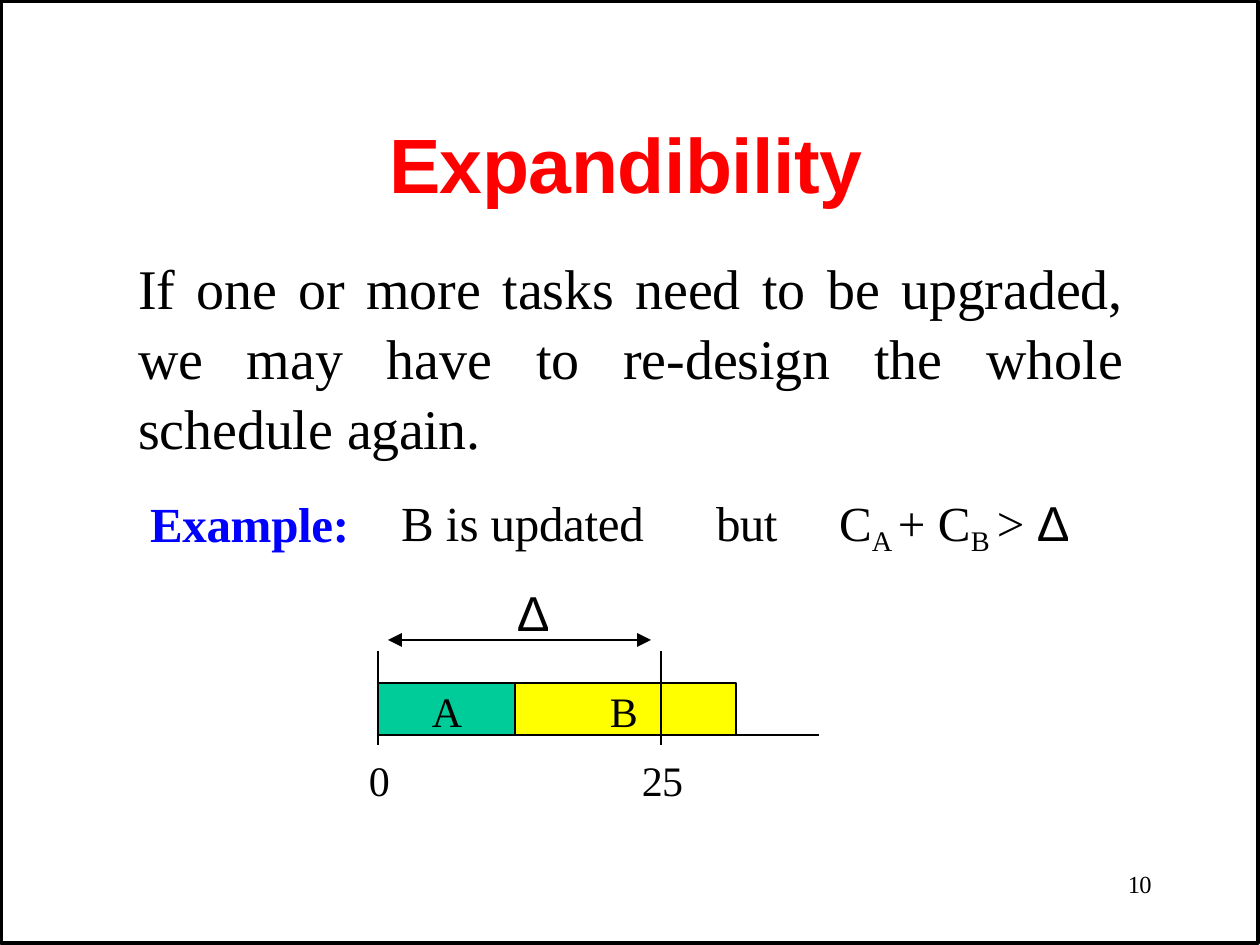
from dataclasses import dataclass

from pptx import Presentation, util as u
from pptx.dml.color import RGBColor
from pptx.enum import shapes, text
from pptx.oxml.ns import qn
from lxml import etree

SCALE = 914400 / 252


@dataclass(frozen=True)
class Theme:
    black: str = "000000"
    heading: str = "FF0000"
    label: str = "0000FF"
    task_a: str = "00CC99"
    task_b: str = "FFFF00"
    sans: str = "Arial"
    serif: str = "Times New Roman"
    title: float = 22
    body: float = 16
    formula: float = 14
    axis: float = 12
    number: float = 7
    thin: float = 0.48
    frame: float = 0.96


T = Theme()


def px(n):
    return u.Emu(round(n * SCALE))


def add_run(p, words, size, font=T.serif, color=T.black, bold=False,
            spacing=0.0, sub=False):
    r = p.add_run()
    r.text = words
    r.font.size = u.Pt(size)
    r.font.name = font
    r.font.bold = bold
    r.font.color.rgb = RGBColor.from_string(color)
    props = r.font._element
    if spacing:
        props.set("spc", str(round(spacing * 100)))
    if sub:
        props.set("baseline", "-20000")


def prepare(sp, wrap=False, left=0, top=0):
    """Set insets, anchor and wrapping; return the first paragraph."""
    tf = sp.text_frame
    tf.margin_left, tf.margin_top = px(left), px(top)
    tf.margin_right = tf.margin_bottom = 0
    tf.vertical_anchor = text.MSO_ANCHOR.TOP
    tf.auto_size = text.MSO_AUTO_SIZE.NONE
    tf.word_wrap = wrap
    p = tf.paragraphs[0]
    p.alignment = text.PP_ALIGN.LEFT
    return p


def place(sp, x, y, w, h):
    sp.left, sp.top, sp.width, sp.height = map(px, (x, y, w, h))


def add_label(s, words, x, y, w, h, size, **style):
    sp = s.shapes.add_textbox(*map(px, (x, y, w, h)))
    add_run(prepare(sp), words, size, **style)


def add_line(s, x1, y1, x2, y2, arrows=False):
    ln = s.shapes.add_connector(shapes.MSO_CONNECTOR.STRAIGHT,
                                *map(px, (x1, y1, x2, y2)))
    ln.line.width = u.Pt(T.thin)
    ln.line.color.rgb = RGBColor.from_string(T.black)
    if arrows:
        for end in ("a:headEnd", "a:tailEnd"):
            etree.SubElement(ln.line._get_or_add_ln(), qn(end),
                             type="triangle", w="sm", len="sm")
    etree.SubElement(ln._element.spPr, qn("a:effectLst"))


def add_rect(s, x, y, w, h, fill=None, width=T.thin):
    sp = s.shapes.add_shape(shapes.MSO_SHAPE.RECTANGLE,
                            *map(px, (x, y, w, h)))
    sp.shadow.inherit = False
    if fill:
        sp.fill.solid()
        sp.fill.fore_color.rgb = RGBColor.from_string(fill)
    else:
        sp.fill.background()
    sp.line.width = u.Pt(width)
    sp.line.color.rgb = RGBColor.from_string(T.black)
    return sp


def add_task(s, name, x, w, fill, text_left):
    sp = add_rect(s, x, 683, w, 52, fill)
    add_run(prepare(sp, left=text_left, top=3), name, T.axis)


def fill_placeholders(s):
    title, body = s.placeholders
    place(title, 389, 117, 486, 100)
    add_run(prepare(title), "Expandibility", T.title, T.sans, T.heading,
            bold=True, spacing=-0.1)

    place(body, 138, 251, 986, 209)
    p = prepare(body, wrap=True)
    props = p._p.get_or_add_pPr()
    props.set("marL", "0")
    props.set("indent", "0")
    etree.SubElement(props, qn("a:buNone"))
    p.alignment = text.PP_ALIGN.JUSTIFY
    p.line_spacing = 1.04
    p.space_before = u.Pt(0)
    add_run(p, "If one or more tasks need to be upgraded, we may have to "
               "re-design the whole schedule ", T.body)
    add_run(p, "again.", T.body, spacing=-0.1)


def add_formula(s):
    """Condition on the first line, the interval symbol below it."""
    sp = s.shapes.add_textbox(*map(px, (391, 493, 718, 150)))
    p = prepare(sp, wrap=True)
    props = p._p.get_or_add_pPr()
    props.set("marL", str(px(10)))
    tabs = etree.SubElement(props, qn("a:tabLst"))
    for stop in (315, 438):
        etree.SubElement(tabs, qn("a:tab"), pos=str(px(stop)), algn="l")
    add_run(p, "B is", T.formula)
    add_run(p, " updated\t", T.formula, spacing=-0.1)
    add_run(p, "but", T.formula, spacing=-0.2)
    for words, sub in (("\tC", False), ("A ", True), ("+ C", False),
                       ("B ", True), ("> ", False)):
        add_run(p, words, T.formula, sub=sub)
    add_run(p, "Δ", T.formula, T.sans)

    p = sp.text_frame.add_paragraph()
    p._p.get_or_add_pPr().set("marL", str(px(126)))
    p.space_before = u.Pt(7.2)
    add_run(p, "Δ", T.formula, T.sans)


def add_timeline(s):
    start, end = 378, 661
    add_line(s, 736, 735, 819, 735)
    add_line(s, 388, 640, 651, 640, arrows=True)
    add_task(s, "A", start, 137, T.task_a, 54)
    add_task(s, "B", 515, 221, T.task_b, 95)
    for x in (start, end):
        add_line(s, x, 651, x, 745)
    add_label(s, "0", 369, 755, 30, 58, T.axis)
    add_label(s, "25", 642, 755, 50, 58, T.axis, spacing=-0.2)


def main():
    prs = Presentation()
    prs.slide_width, prs.slide_height = px(1260), px(945)
    s = prs.slides.add_slide(prs.slide_layouts[1])
    fill_placeholders(s)
    add_label(s, "Example:", 150, 494, 210, 66, T.formula,
              color=T.label, bold=True, spacing=-0.1)
    add_formula(s)
    add_timeline(s)
    add_label(s, "10", 1128, 869, 30, 35, T.number, spacing=-0.2)
    add_rect(s, 1, 1, 1257, 942, width=T.frame)
    prs.save("out.pptx")


if __name__ == "__main__":
    main()
